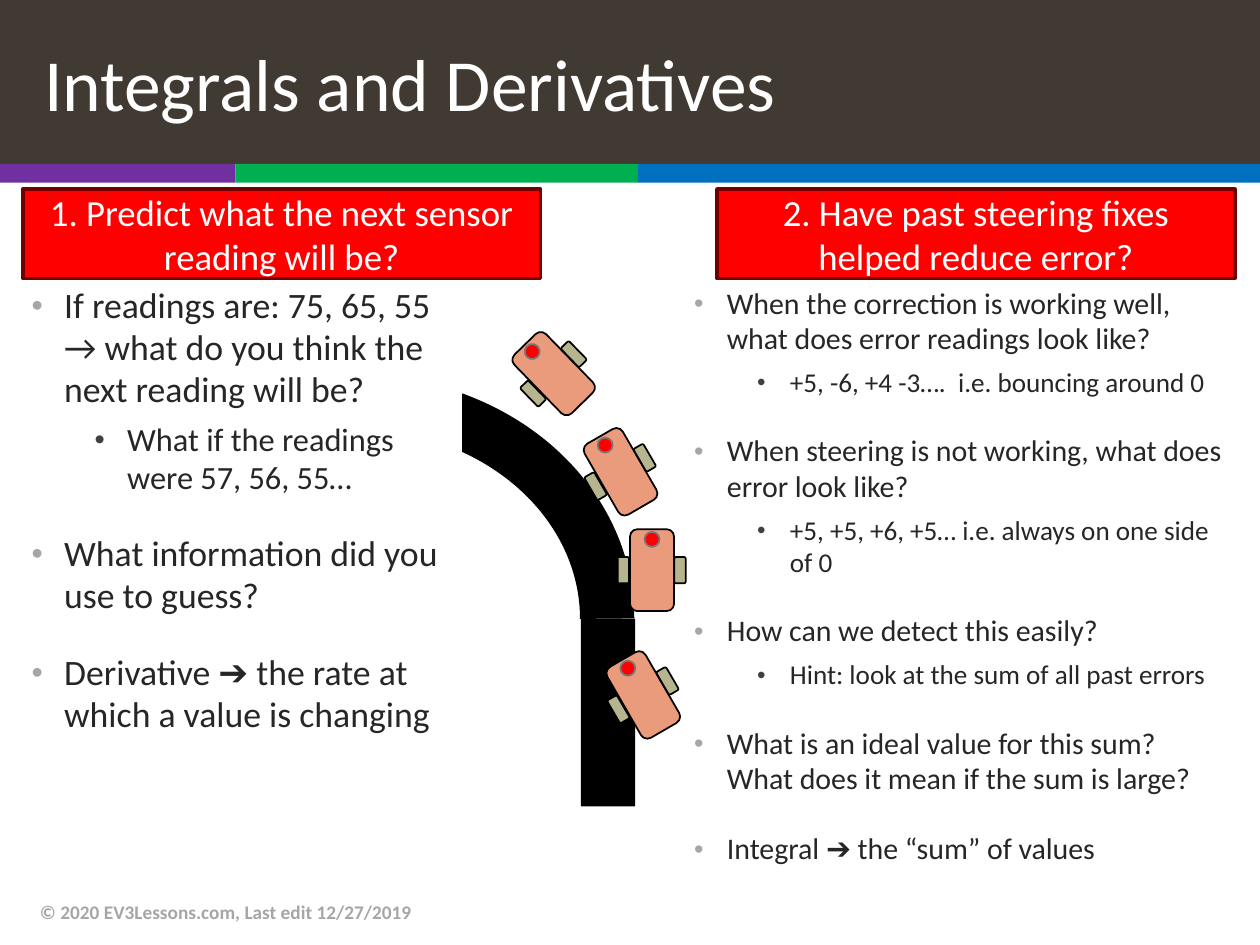
from math import cos, radians, sin

from lxml import etree
from pptx import Presentation
from pptx.dml.color import RGBColor
from pptx.enum import shapes, text
from pptx.oxml import ns
from pptx.util import Pt

TITLE = "Integrals and Derivatives"
CREDIT = "© 2020 EV3Lessons.com, Last edit 12/27/2019"
BANDS = [("7030A0", 0, 134.5), ("00B050", 134.5, 364.5), ("0070C0", 364.5, 720)]
QUESTIONS = [
    ("1. Predict what the next sensor reading will be?", 13),
    ("2. Have past steering fixes helped reduce error?", 409.7),
]
DERIVATIVE = [
    (0, "If readings are: 75, 65, 55 → what do you think the next reading will be?"),
    (1, "What if the readings were 57, 56, 55…"),
    (0, "What information did you use to guess?"),
    (0, "Derivative ➔ the rate at which a value is changing"),
]
INTEGRAL = [
    (0, "When the correction is working well, what does error readings look like?"),
    (1, "+5, -6, +4 -3….  i.e. bouncing around 0"),
    (0, "When steering is not working, what does error look like?"),
    (1, "+5, +5, +6, +5… i.e. always on one side of 0"),
    (0, "How can we detect this easily?"),
    (1, "Hint: look at the sum of all past errors"),
    (0, "What is an ideal value for this sum? What does it mean if the sum is large?"),
    (0, "Integral ➔ the “sum” of values"),
]
ROBOTS = [(367.6, 397.1, -30), (372.6, 325.8, 0), (354.6, 269.6, -30), (316.4, 213.5, -44.2)]
ROBOT_PARTS = [
    ("ROUNDED_RECTANGLE", 0, 0, 25.2, 46.8, "EA9B7C", "000000"),
    ("ROUNDED_RECTANGLE", 16, 0, 6.5, 15.1, "B6B590", "000000"),
    ("ROUNDED_RECTANGLE", -16.4, 0, 6.5, 15.1, "B6B590", "000000"),
    ("OVAL", 0, -17.6, 8.6, 8.6, "FF0000", "777777"),
]
LEVELS = [
    {"margin": 18.7, "before": 20, "bullet": "A6A6A6"},
    {"margin": 54.7, "before": 6, "bullet": "404040"},
]


def rgb(code):
    return RGBColor.from_string(code)


def place(part, left, top, width, height):
    part.left, part.top, part.width, part.height = map(Pt, (left, top, width, height))


def draw(kind, left, top, width, height, fill=None, line=None, weight=1, turn=0):
    part = slide.shapes.add_shape(
        getattr(shapes.MSO_SHAPE, kind), *map(Pt, (left, top, width, height)))
    part.shadow.inherit = False
    part.rotation = turn % 360
    if fill:
        part.fill.solid()
        part.fill.fore_color.rgb = rgb(fill)
    else:
        part.fill.background()
    if line:
        part.line.color.rgb = rgb(line)
        part.line.width = Pt(weight)
    else:
        part.line.fill.background()
    return part


def set_bullet(paragraph, margin, color):
    props = paragraph._p.get_or_add_pPr()
    props.set("marL", str(Pt(margin)))
    props.set("indent", str(-Pt(18.7)))
    tint = etree.SubElement(props, ns.qn("a:buClr"))
    etree.SubElement(tint, ns.qn("a:srgbClr"), val=color)
    etree.SubElement(props, ns.qn("a:buSzPct"), val="90000")
    etree.SubElement(props, ns.qn("a:buFont"), typeface="Arial")
    etree.SubElement(props, ns.qn("a:buChar"), char="•")


def write(part, wording, size, color, bold=False, align=text.PP_ALIGN.LEFT,
          anchor=text.MSO_ANCHOR.MIDDLE, first=True, before=0, spacing=None,
          margin=0, bullet=None):
    frame = part.text_frame
    frame.word_wrap = True
    frame.auto_size = text.MSO_AUTO_SIZE.NONE
    frame.vertical_anchor = anchor
    paragraph = frame.paragraphs[0] if first else frame.add_paragraph()
    paragraph.alignment = align
    paragraph.space_before = Pt(0 if first else before)
    if spacing:
        paragraph.line_spacing = spacing
    if bullet:
        set_bullet(paragraph, margin, bullet)
    run = paragraph.add_run()
    run.text = wording
    run.font.name = "Calibri"
    run.font.size = Pt(size)
    run.font.bold = bold
    run.font.color.rgb = rgb(color)


def write_list(part, items, sizes):
    for index, (level, wording) in enumerate(items):
        write(part, wording, sizes[level], "262626", anchor=text.MSO_ANCHOR.TOP,
              first=index == 0, spacing=0.98, **LEVELS[level])
        part.text_frame.paragraphs[-1].level = level


def draw_robot(x, y, turn):
    c, s = cos(radians(turn)), sin(radians(turn))
    for kind, dx, dy, width, height, fill, line in ROBOT_PARTS:
        draw(kind, x + dx * c - dy * s - width / 2, y + dx * s + dy * c - height / 2,
             width, height, fill, line, turn=turn)


deck = Presentation()
deck.slide_width, deck.slide_height = Pt(720), Pt(540)
slide = deck.slides.add_slide(deck.slide_layouts[3])
title, derivative, integral = slide.placeholders

place(title, 0, 0, 720, 93.6)
title.fill.solid()
title.fill.fore_color.rgb = rgb("413A33")
title.text_frame.margin_left = Pt(25.2)
write(title, TITLE, 42, "FFFFFF")
for color, start, end in BANDS:
    draw("RECTANGLE", start, 93.6, end - start, 10.8, color)

place(integral, 389.5, 159.8, 319.7, 360.7)
write_list(integral, INTEGRAL, (17.1, 15.5))

credit = slide.shapes.add_textbox(*map(Pt, (15.8, 506.9, 482.4, 28.8)))
write(credit, CREDIT, 11, "A6A6A6", bold=True)

draw("RECTANGLE", 331.9, 353.5, 31, 107.3, "000000")
draw("ARC", 59, 229.7, 288, 247.7, line="000000", weight=31)
for robot in ROBOTS:
    draw_robot(*robot)

for question, left in QUESTIONS:
    box = draw("RECTANGLE", left, 108, 295.9, 51.1, "FF0000", "710000", 2)
    write(box, question, 21, "FFFFFF", align=text.PP_ALIGN.CENTER)

draw("RECTANGLE", 161.3, 192.2, 101.5, 69.1, "FFFFFF", "FFFFFF", 2)
place(derivative, 10.8, 159.1, 259.9, 254.2)
write_list(derivative, DERIVATIVE, (20.4, 18.5))
slide.shapes.element.append(derivative.element)

deck.save("out.pptx")
